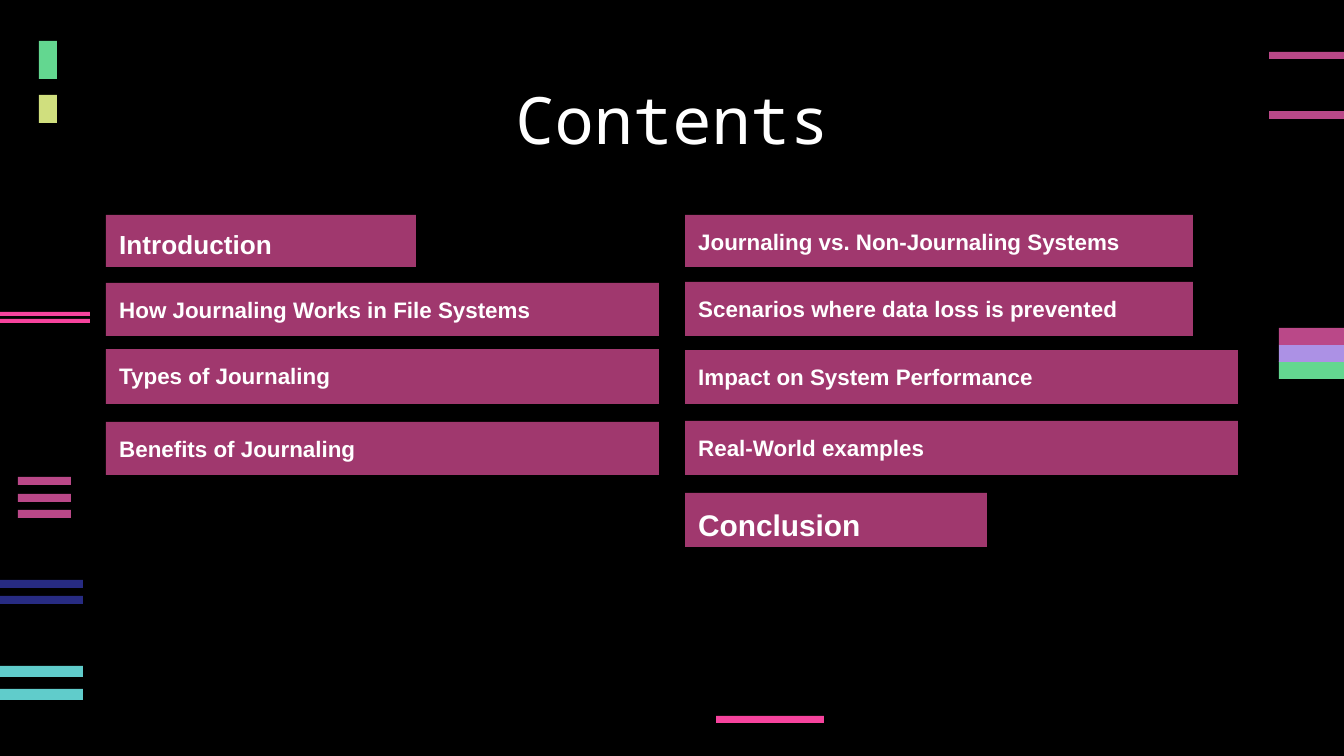
from pptx import Presentation
from pptx.dml.color import RGBColor
from pptx.enum.shapes import MSO_SHAPE as SHAPE
from pptx.enum.text import MSO_ANCHOR as ANCHOR, PP_ALIGN as ALIGN
from pptx.util import Emu, Pt

PX = 914400 / 134.4
COLORS = {
    "black": "000000", "white": "FFFFFF", "plum": "A0386E",
    "rose": "BA4888", "pink": "F6439D", "teal": "60CCCB", "green": "63D790",
    "lilac": "AC91E5", "lime": "D0DF7E", "navy": "272B82",
}


def px(n):
    return Emu(round(n * PX))


def rgb(name):
    return RGBColor.from_string(COLORS[name])


class Deck:
    """Holds the style and the current slide."""

    def __init__(self, width, height):
        self.prs = Presentation()
        self.prs.slide_width, self.prs.slide_height = px(width), px(height)
        self.s = self.prs.slides.add_slide(self.prs.slide_layouts[6])
        fill = self.s.background.fill
        fill.solid()
        fill.fore_color.rgb = rgb("black")

    def bar(self, x, y, w, h, color):
        sp = self.s.shapes.add_shape(SHAPE.RECTANGLE, *map(px, (x, y, w, h)))
        sp.shadow.inherit = False
        sp.fill.solid()
        sp.fill.fore_color.rgb = rgb(color)
        sp.line.fill.background()
        return sp

    def label(self, sp, text, size, font, align, bold=False):
        tf = sp.text_frame
        tf.text = text
        tf.word_wrap = True
        tf.vertical_anchor = ANCHOR.TOP
        tf.margin_left = tf.margin_right = tf.margin_top = tf.margin_bottom = Pt(7.2)
        p = tf.paragraphs[0]
        p.alignment = align
        r = p.runs[0]
        r.font.name, r.font.size, r.font.bold = font, Pt(size), bold
        r.font.color.rgb = rgb("white")

    def title(self, x, y, w, h, text):
        sp = self.s.shapes.add_textbox(*map(px, (x, y, w, h)))
        self.label(sp, text, 35, "Noto Sans Mono", ALIGN.CENTER)

    def topic(self, x, y, w, h, text, size=12):
        sp = self.bar(x, y, w, h, "plum")
        self.label(sp, text, size, "Arial", ALIGN.LEFT, bold=True)


STRIPES = [
    (18, (477, 494, 510), 53, 8, "rose"),
    (1269, (52,), 75, 7, "rose"),
    (1269, (111,), 75, 8, "rose"),
    (716, (716,), 108, 7, "pink"),
    (0, (666, 689), 83, 11, "teal"),
    (1279, (361,), 65, 18, "green"),
    (1279, (345,), 65, 17, "lilac"),
    (1279, (328,), 65, 17, "rose"),
    (39, (95,), 18, 28, "lime"),
    (39, (41,), 18, 38, "green"),
    (0, (312, 319), 90, 4, "pink"),
    (0, (580, 596), 83, 8, "navy"),
]
LEFT, RIGHT, WIDE = 106, 685, 553
TOPICS = [
    (LEFT, 215, 310, 52, "Introduction", 14),
    (LEFT, 283, WIDE, 53, "How Journaling Works in File Systems"),
    (LEFT, 349, WIDE, 55, "Types of Journaling"),
    (LEFT, 422, WIDE, 53, "Benefits of Journaling"),
    (RIGHT, 215, 508, 52, "Journaling vs. Non-Journaling Systems"),
    (RIGHT, 282, 508, 54, "Scenarios where data loss is prevented"),
    (RIGHT, 350, WIDE, 54, "Impact on System Performance"),
    (RIGHT, 421, WIDE, 54, "Real-World examples"),
    (RIGHT, 493, 302, 54, "Conclusion", 16),
]


def main():
    deck = Deck(1344, 756)
    for x, tops, w, h, color in STRIPES:
        for y in tops:
            deck.bar(x, y, w, h, color)
    deck.title(106, 66, 1133, 85, "Contents")
    for topic in TOPICS:
        deck.topic(*topic)
    deck.prs.save("out.pptx")


if __name__ == "__main__":
    main()
